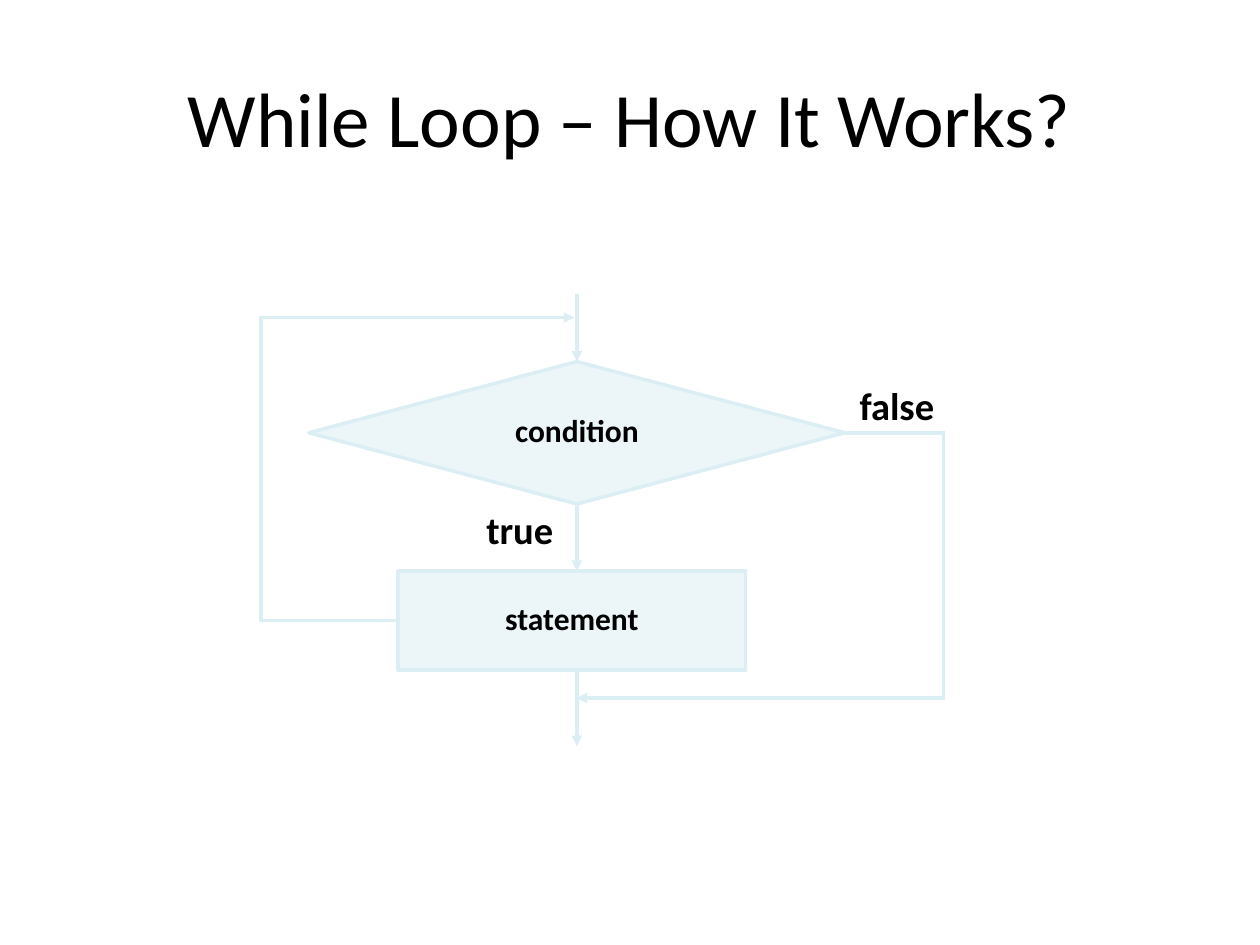
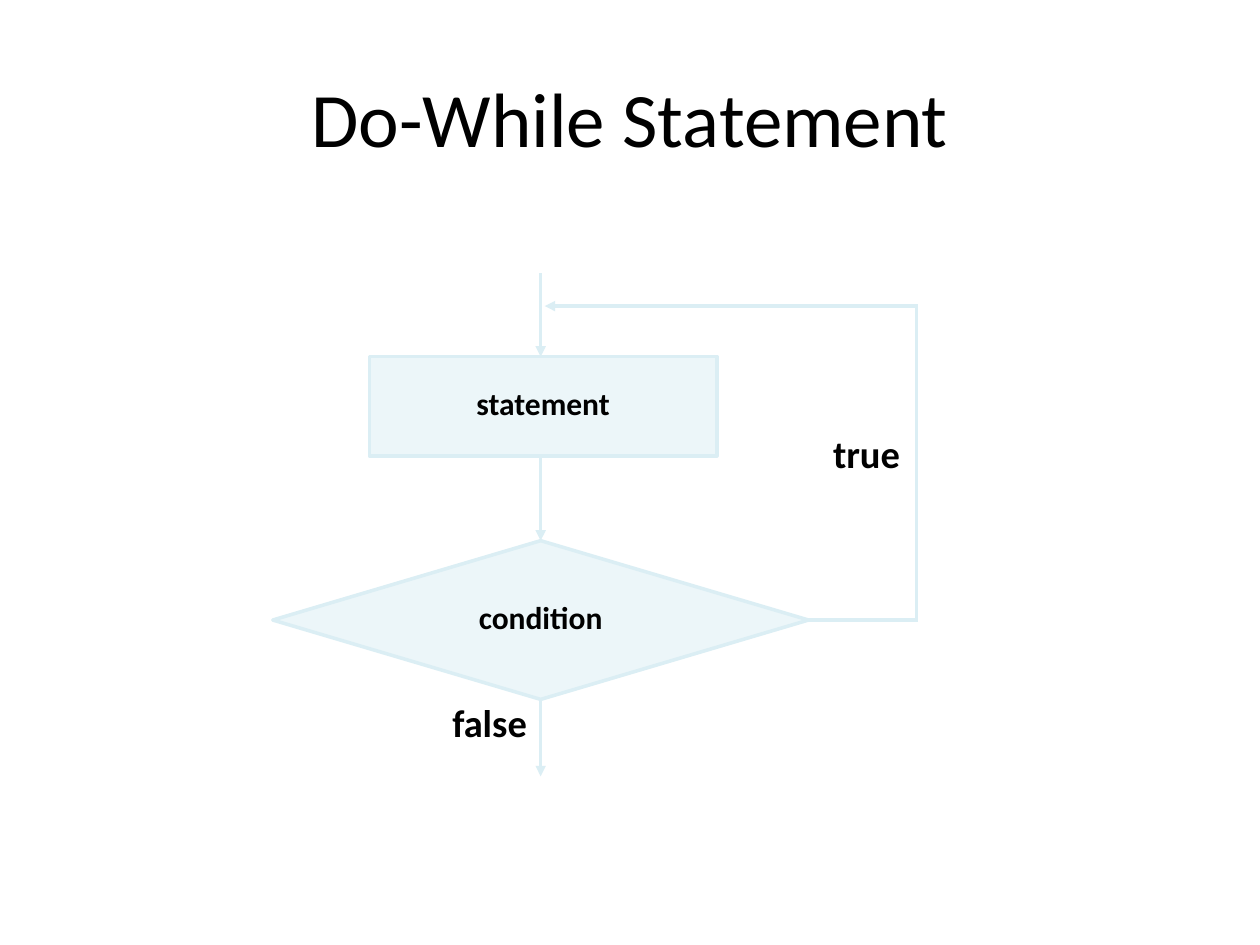
from dataclasses import dataclass
from itertools import pairwise

from lxml.etree import SubElement
from pptx import Presentation
from pptx.dml.color import RGBColor
from pptx.enum.shapes import MSO_CONNECTOR, MSO_SHAPE
from pptx.enum.text import MSO_ANCHOR, PP_ALIGN
from pptx.oxml.ns import qn
from pptx.util import Cm, Pt


@dataclass(frozen=True)
class Theme:
    """Colours, type and stroke shared by the slides."""
    font: str = "Calibri"
    ink: RGBColor = RGBColor(0, 0, 0)
    paper: RGBColor = RGBColor(255, 255, 255)
    accent: RGBColor = RGBColor(0xDB, 0xEE, 0xF4)
    alpha: int = 50
    title: int = 44
    label: int = 22
    node: int = 18
    stroke: int = 2
    spacing: float = 0.85


T = Theme()
NODE_W, STATEMENT_H, DIAMOND_W = 7.01, 2.0, 10.8
LABEL_W, LABEL_H = 2.5, 1.07


def write(sp, text, size, bold=True, spacing=T.spacing, anchor=MSO_ANCHOR.MIDDLE):
    """Fill a shape with one centred paragraph."""
    tf = sp.text_frame
    tf.word_wrap = True
    tf.vertical_anchor = anchor
    p = tf.paragraphs[0]
    p.alignment = PP_ALIGN.CENTER
    p.line_spacing = spacing
    r = p.add_run()
    r.text = text
    r.font.name, r.font.size, r.font.bold = T.font, Pt(size), bold
    r.font.color.rgb = T.ink


def stroke(sp):
    """Give a shape or connector the shared line."""
    sp.line.color.rgb = T.accent
    sp.line.width = Pt(T.stroke)


class Flowchart:
    """A grouped flowchart placed relative to its top left corner."""

    def __init__(self, s, left, top):
        """Start an empty group at the given corner."""
        self.shapes = s.shapes.add_group_shape().shapes
        self.left, self.top = left, top

    def at(self, x, y):
        """Turn a point of the chart into slide lengths."""
        return Cm(self.left + x), Cm(self.top + y)

    def node(self, kind, text, center, top, width, height):
        """Draw a translucent node with its text."""
        sp = self.shapes.add_shape(kind, *self.at(center - width / 2, top), Cm(width), Cm(height))
        sp.shadow.inherit = False
        sp.fill.solid()
        sp.fill.fore_color.rgb = T.accent
        color = sp.element.spPr.find(qn("a:solidFill")).find(qn("a:srgbClr"))
        SubElement(color, qn("a:alpha")).set("val", str(T.alpha * 1000))
        stroke(sp)
        write(sp, text, T.node)

    def condition(self, center, top, height):
        """Draw the decision diamond."""
        self.node(MSO_SHAPE.FLOWCHART_DECISION, "condition", center, top, DIAMOND_W, height)

    def statement(self, center, top):
        """Draw the statement box."""
        self.node(MSO_SHAPE.RECTANGLE, "statement", center, top, NODE_W, STATEMENT_H)

    def label(self, text, x, y):
        """Write the name of a branch."""
        sp = self.shapes.add_textbox(*self.at(x, y), Cm(LABEL_W), Cm(LABEL_H))
        write(sp, text, T.label, anchor=MSO_ANCHOR.TOP)

    def route(self, *points):
        """Join points with lines and end in an arrowhead."""
        for start, end in pairwise(points):
            c = self.shapes.add_connector(MSO_CONNECTOR.STRAIGHT, *self.at(*start), *self.at(*end))
            stroke(c)
            ln = c.element.spPr.find(qn("a:ln"))
            if end == points[-1]:
                SubElement(ln, qn("a:tailEnd")).set("type", "triangle")
            else:
                ln.set("cap", "sq")
            SubElement(c.element.spPr, qn("a:effectLst"))


def while_chart(s, left, top):
    """Draw the loop that tests before its statement."""
    chart = Flowchart(s, left, top)
    axis, right, bottom = 6.37, 13.76, 9.12
    diamond, diamond_h, box = 1.37, 2.87, 5.59
    test_y, box_y = diamond + diamond_h / 2, box + STATEMENT_H / 2
    box_center = axis - 0.1
    chart.condition(axis, diamond, diamond_h)
    chart.statement(box_center, box)
    chart.route((axis, 0), (axis, diamond))
    chart.route((axis, diamond + diamond_h), (axis, box))
    chart.route((axis, box + STATEMENT_H), (axis, bottom))
    chart.route((axis + DIAMOND_W / 2, test_y), (right, test_y), (right, 8.15), (axis, 8.15))
    chart.route((box_center - NODE_W / 2, box_y), (0, box_y), (0, 0.48), (axis - 0.05, 0.48))
    chart.label("true", 3.97, 4.29)
    chart.label("false", 11.57, 1.8)


def do_while_chart(s, left, top):
    """Draw the loop that tests after its statement."""
    chart = Flowchart(s, left, top)
    axis, right, bottom = 5.39, 12.97, 10.14
    box, diamond, diamond_h = 1.68, 5.39, 3.2
    test_y = diamond + diamond_h / 2
    chart.statement(axis + 0.05, box)
    chart.condition(axis, diamond, diamond_h)
    chart.route((axis, 0), (axis, box))
    chart.route((axis, box + STATEMENT_H), (axis, diamond))
    chart.route((axis, diamond + diamond_h), (axis, bottom))
    chart.route((axis + DIAMOND_W / 2, test_y), (right, test_y), (right, 0.66), (axis + 0.08, 0.66))
    chart.label("true", 10.71, 3.18)
    chart.label("false", 3.11, 8.61)


def add_slide(prs, title):
    """Add a blank slide with its centred title."""
    s = prs.slides.add_slide(prs.slide_layouts[6])
    s.background.fill.solid()
    s.background.fill.fore_color.rgb = T.paper
    sp = s.shapes.add_textbox(Cm(1.27), Cm(0.76), Cm(22.86), Cm(3.18))
    write(sp, title, T.title, bold=False, spacing=1.0)
    return s


def main():
    """Build and save the two slides."""
    prs = Presentation()
    prs.slide_width, prs.slide_height = Cm(25.4), Cm(19.05)
    while_chart(add_slide(prs, "While Loop – How It Works?"), 5.26, 5.92)
    do_while_chart(add_slide(prs, "Do-While Statement"), 5.51, 5.51)
    prs.save("out.pptx")


if __name__ == "__main__":
    main()
